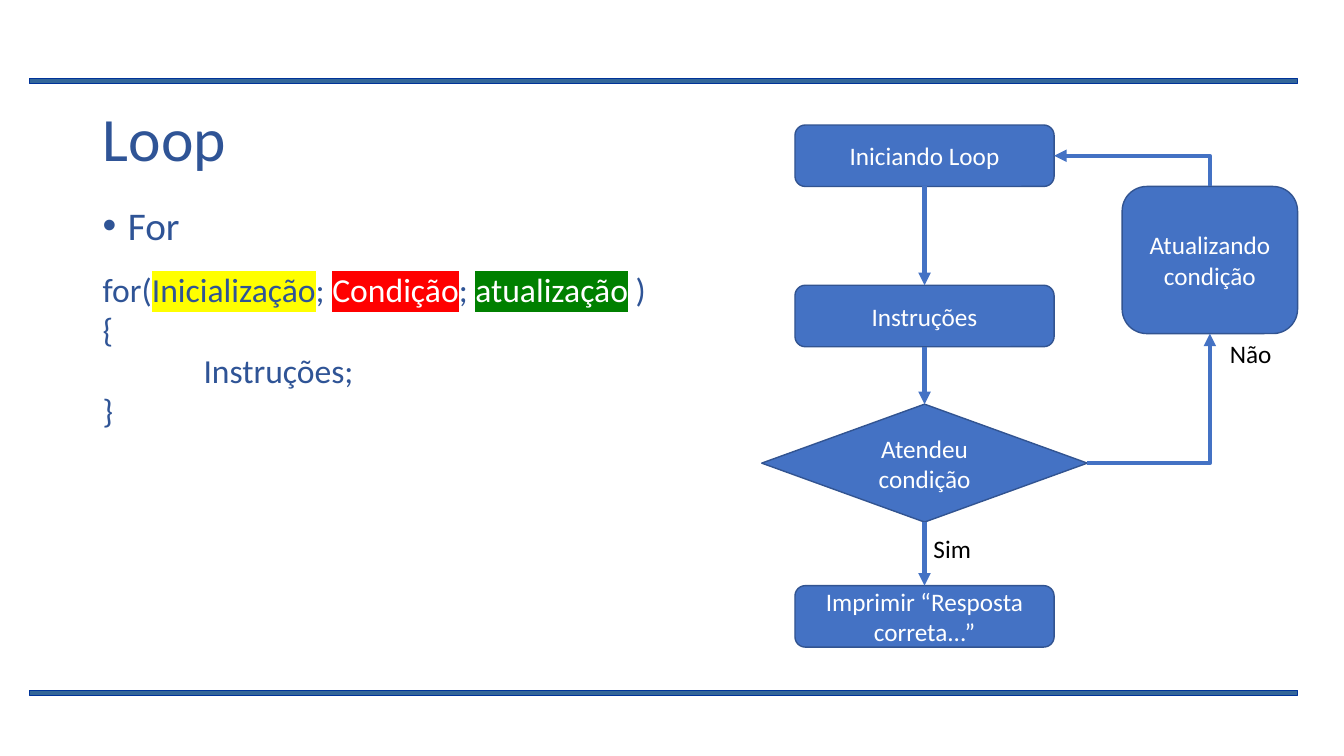
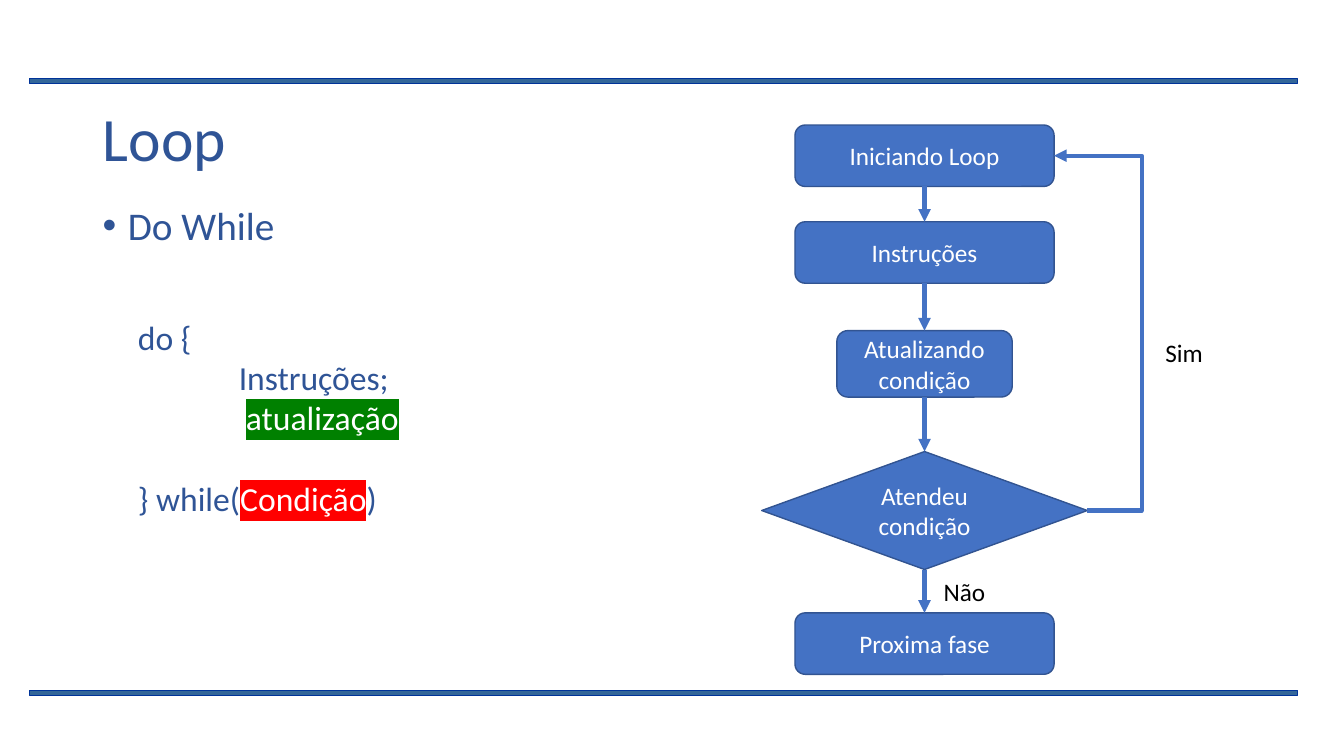
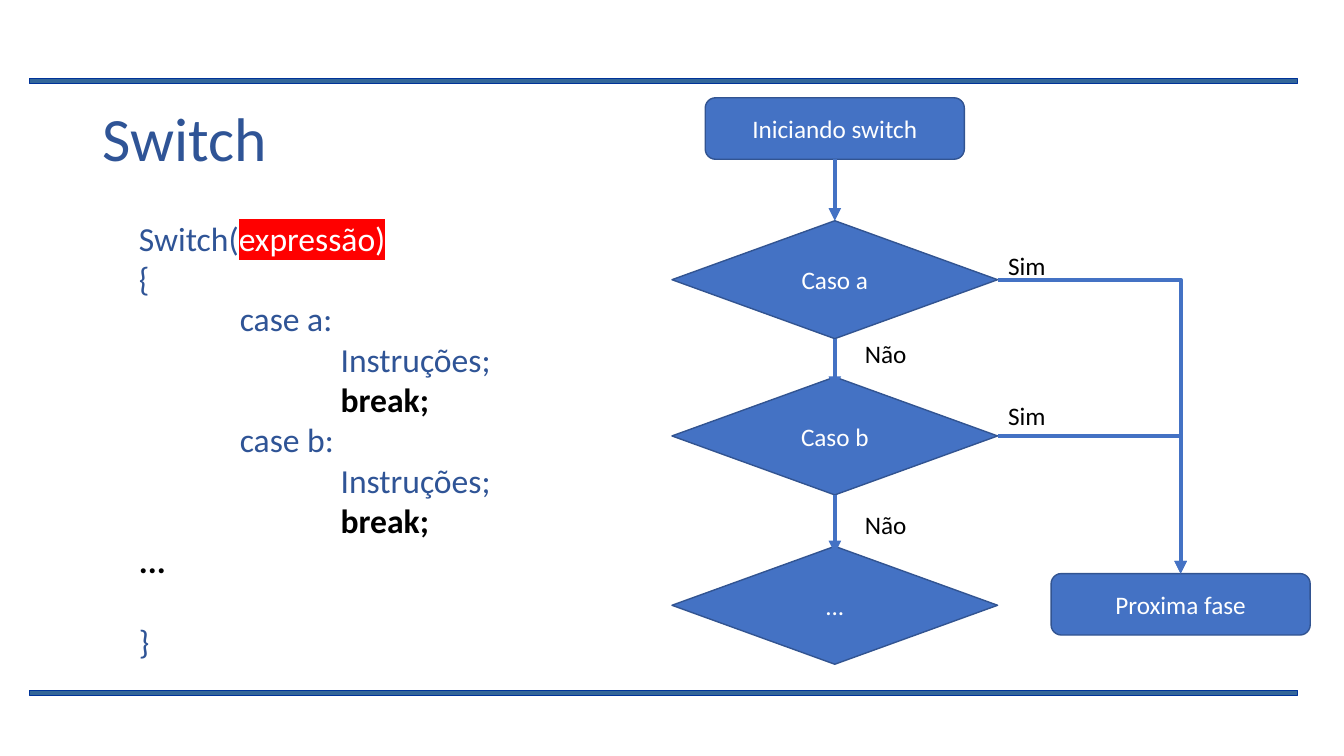
"""Build three slides on loops and switch, each with code beside its flowchart."""
from dataclasses import dataclass

from lxml.etree import SubElement
from pptx import Presentation
from pptx.dml.color import RGBColor
from pptx.enum.shapes import MSO_CONNECTOR as Link, MSO_SHAPE as Shape
from pptx.enum.text import MSO_ANCHOR as Anchor, MSO_AUTO_SIZE as AutoSize, PP_ALIGN as Align
from pptx.oxml.ns import qn
from pptx.util import Inches, Pt


@dataclass(frozen=True)
class Theme:
    font: str = "Calibri"
    ink: str = "2F5496"
    black: str = "000000"
    white: str = "FFFFFF"
    band: str = "336699"
    band_edge: str = "003399"
    node: str = "4472C4"
    node_edge: str = "325491"
    yellow: str = "FFFF00"
    red: str = "FF0000"
    green: str = "008000"
    title: int = 44
    topic: int = 28
    code: int = 24
    label: int = 18


theme = Theme()
TOP, LEFT, BOTTOM, RIGHT = range(4)
BOX, SIDE, TALL, DIAMOND = (2.57, 0.61), (1.74, 0.66), (1.74, 1.46), (3.23, 1.17)
LOOP_AXIS, UPDATE_AXIS, SWITCH_AXIS, EXIT_AXIS = 9.17, 12, 8.28, 11.71
BLANK_LINE = 29
STRAIGHT, CORNER, DETOUR = "line", "bentConnector2", "bentConnector3"

YELLOW = (theme.ink, theme.yellow, False)
RED = (theme.white, theme.red, False)
GREEN = (theme.white, theme.green, False)
BOLD = (theme.black, None, True)


def write(frame, text, size, colour, align=Align.LEFT):
    """Put one paragraph of text in a frame and return it."""
    frame.word_wrap = True
    para = frame.paragraphs[0]
    para.text = text
    para.alignment = align
    para.font.name, para.font.size = theme.font, Pt(size)
    para.font.color.rgb = RGBColor.from_string(colour)
    return para


def paint(shape, fill, edge):
    """Give a shape a flat fill and a thin outline."""
    shape.shadow.inherit = False
    shape.fill.solid()
    shape.fill.fore_color.rgb = RGBColor.from_string(fill)
    shape.line.color.rgb = RGBColor.from_string(edge)
    shape.line.width = Pt(1)


case_lines = [
    line
    for case in "ab"
    for line in (
        (1, 0, [(f"case {case}:", None)]),
        (2, 0, [("Instruções;", None)]),
        (2, 0, [("break;", BOLD)]),
    )
]

slides = [
    {
        "title": "Loop",
        "topic": "For",
        "code_at": (0.92, 2.62, 5.75, 1.72),
        "code": [
            (0, 0, [("for(", None), ("Inicialização", YELLOW), ("; ", None), ("Condição", RED),
                    ("; ", None), ("atualização", GREEN), (" )", None)]),
            (0, 0, [("{", None)]),
            (1, 0, [("Instruções;", None)]),
            (0, 0, [("}", None)]),
        ],
        "nodes": {
            "start": (BOX, LOOP_AXIS, 1.24, "Iniciando Loop"),
            "work": (BOX, LOOP_AXIS, 2.83, "Instruções"),
            "test": (DIAMOND, LOOP_AXIS, 4.01, "Atendeu condição"),
            "finish": (BOX, LOOP_AXIS, 5.81, "Imprimir “Resposta correta...”"),
            "update": (TALL, UPDATE_AXIS, 1.85, "Atualizando condição"),
        },
        "links": [
            ("start", BOTTOM, "work", TOP, STRAIGHT, "tailEnd", 0),
            ("work", BOTTOM, "test", TOP, STRAIGHT, "tailEnd", 0),
            ("test", BOTTOM, "finish", TOP, STRAIGHT, "tailEnd", 0),
            ("test", RIGHT, "update", BOTTOM, CORNER, "tailEnd", 0),
            ("start", RIGHT, "update", TOP, CORNER, "headEnd", 0),
        ],
        "labels": [("Sim", 9.16, 5.24), ("Não", 12.1, 3.31)],
    },
    {
        "title": "Loop",
        "topic": "Do While",
        "code_at": (1.27, 3.09, 5.75, 2.52),
        "code": [
            (0, 0, [("do {", None)]),
            (1, 0, [("Instruções;", None)]),
            (1.07, 0, [("atualização", GREEN)]),
            (0, BLANK_LINE, [("} while(", None), ("Condição", RED), (")", None)]),
        ],
        "nodes": {
            "start": (BOX, LOOP_AXIS, 1.24, "Iniciando Loop"),
            "work": (BOX, LOOP_AXIS, 2.2, "Instruções"),
            "update": (SIDE, LOOP_AXIS, 3.28, "Atualizando condição"),
            "test": (DIAMOND, LOOP_AXIS, 4.48, "Atendeu condição"),
            "finish": (BOX, LOOP_AXIS, 6.08, "Proxima fase"),
        },
        "links": [
            ("start", BOTTOM, "work", TOP, STRAIGHT, "tailEnd", 0),
            ("work", BOTTOM, "update", TOP, STRAIGHT, "tailEnd", 0),
            ("update", BOTTOM, "test", TOP, STRAIGHT, "tailEnd", 0),
            ("test", BOTTOM, "finish", TOP, STRAIGHT, "tailEnd", 0),
            ("test", RIGHT, "start", RIGHT, DETOUR, "tailEnd", 0),
        ],
        "labels": [("Sim", 11.46, 3.3), ("Não", 9.26, 5.67)],
    },
    {
        "title": "Switch",
        "topic": None,
        "code_at": (1.28, 2.11, 5.75, 4.95),
        "code": [
            (0, 0, [("Switch(", None), ("expressão)", RED)]),
            (0, 0, [("{", None)]),
            *case_lines,
            (0, 0, [("...", BOLD)]),
            (0, BLANK_LINE, [("}", None)]),
        ],
        "nodes": {
            "start": (BOX, SWITCH_AXIS, 0.97, "Iniciando switch"),
            "case a": (DIAMOND, SWITCH_AXIS, 2.19, "Caso a"),
            "case b": (DIAMOND, SWITCH_AXIS, 3.74, "Caso b"),
            "others": (DIAMOND, SWITCH_AXIS, 5.42, "..."),
            "finish": (BOX, EXIT_AXIS, 5.69, "Proxima fase"),
        },
        "links": [
            ("start", BOTTOM, "case a", TOP, STRAIGHT, "tailEnd", 0),
            ("case a", BOTTOM, "case b", TOP, STRAIGHT, "tailEnd", 0.12),
            ("case b", BOTTOM, "others", TOP, STRAIGHT, "tailEnd", 0.07),
            ("case a", RIGHT, "finish", TOP, CORNER, "tailEnd", 0),
            ("case b", RIGHT, "finish", TOP, CORNER, "tailEnd", 0),
        ],
        "labels": [("Não", 8.48, 3.31), ("Não", 8.48, 5), ("Sim", 9.9, 2.43), ("Sim", 9.9, 3.92)],
    },
]

deck = Presentation()
deck.slide_width, deck.slide_height = Inches(13.33), Inches(7.5)
layout = deck.slide_layouts[5]
pages = [deck.slides.add_slide(layout) for _ in slides]

for holder in list(layout.placeholders)[1:]:
    layout.shapes.element.remove(holder.element)
bands = [
    pages[0].shapes.add_shape(Shape.RECTANGLE, Inches(0.29), Inches(top), Inches(12.58), Inches(0.05))
    for top in (0.78, 6.85)
]
for band in bands:
    paint(band, theme.band, theme.band_edge)
    layout.shapes.element.append(band.element)

for page, content in zip(pages, slides):
    title = page.shapes.title
    title.left, title.top, title.width, title.height = map(Inches, (0.92, 0.97, 11.5, 0.87))
    title.text_frame.auto_size = AutoSize.NONE
    title.text_frame.vertical_anchor = Anchor.MIDDLE
    write(title.text_frame, content["title"], theme.title, theme.ink).line_spacing = 0.9

    if content["topic"]:
        topic = page.shapes.add_textbox(Inches(0.92), Inches(2), Inches(5.75), Inches(0.55))
        para = write(topic.text_frame, content["topic"], theme.topic, theme.ink)
        para.line_spacing = 0.9
        settings = para._p.get_or_add_pPr()
        settings.set("marL", str(Inches(0.25)))
        settings.set("indent", str(Inches(-0.25)))
        default_font = settings.find(qn("a:defRPr"))
        bullet_font = SubElement(settings, qn("a:buFont"), typeface="Arial")
        bullet = SubElement(settings, qn("a:buChar"), char="•")
        default_font.addprevious(bullet_font)
        default_font.addprevious(bullet)

    code = page.shapes.add_textbox(*map(Inches, content["code_at"])).text_frame
    code.word_wrap = True
    for number, (indent, gap, spans) in enumerate(content["code"]):
        para = code.add_paragraph() if number else code.paragraphs[0]
        para.space_before = Pt(gap)
        para.font.name, para.font.size = theme.font, Pt(theme.code)
        para.font.color.rgb = RGBColor.from_string(theme.ink)
        para._p.get_or_add_pPr().set("marL", str(Inches(indent)))
        for text, mark in spans:
            span = para.add_run()
            span.text = text
            if mark:
                colour, highlight, bold = mark
                span.font.color.rgb = RGBColor.from_string(colour)
                span.font.bold = bold
                if highlight:
                    marker = SubElement(span._r.get_or_add_rPr(), qn("a:highlight"))
                    SubElement(marker, qn("a:srgbClr"), val=highlight)

    nodes = {}
    for name, (size, axis, top, text) in content["nodes"].items():
        width, height = size
        outline = Shape.DIAMOND if size == DIAMOND else Shape.ROUNDED_RECTANGLE
        node = page.shapes.add_shape(
            outline, Inches(axis - width / 2), Inches(top), Inches(width), Inches(height))
        paint(node, theme.node, theme.node_edge)
        node.text_frame.vertical_anchor = Anchor.MIDDLE
        write(node.text_frame, text, theme.label, theme.white, Align.CENTER)
        nodes[name] = node

    for source, source_side, target, target_side, route, arrow_end, overlap in content["links"]:
        kind = Link.STRAIGHT if route == STRAIGHT else Link.ELBOW
        link = page.shapes.add_connector(kind, 0, 0, 0, 0)
        link.begin_connect(nodes[source], source_side)
        if overlap:
            link.end_x = link.begin_x
            link.end_y = nodes[target].top + Inches(overlap)
        else:
            link.end_connect(nodes[target], target_side)
        link.line.color.rgb = RGBColor.from_string(theme.node)
        link.line.width = Pt(3)
        properties = link.element.spPr
        SubElement(properties.find(qn("a:ln")), qn(f"a:{arrow_end}"), type="triangle")
        SubElement(properties, qn("a:effectLst"))
        geometry = properties.find(qn("a:prstGeom"))
        geometry.set("prst", route)
        if route == DETOUR:
            bend = round(-0.54 / 0.33 * 100000)
            SubElement(geometry.find(qn("a:avLst")), qn("a:gd"), name="adj1", fmla=f"val {bend}")

    for text, left, top in content["labels"]:
        label = page.shapes.add_textbox(Inches(left), Inches(top), Inches(0.78), Inches(0.4))
        write(label.text_frame, text, theme.label, theme.black)

deck.save("out.pptx")
